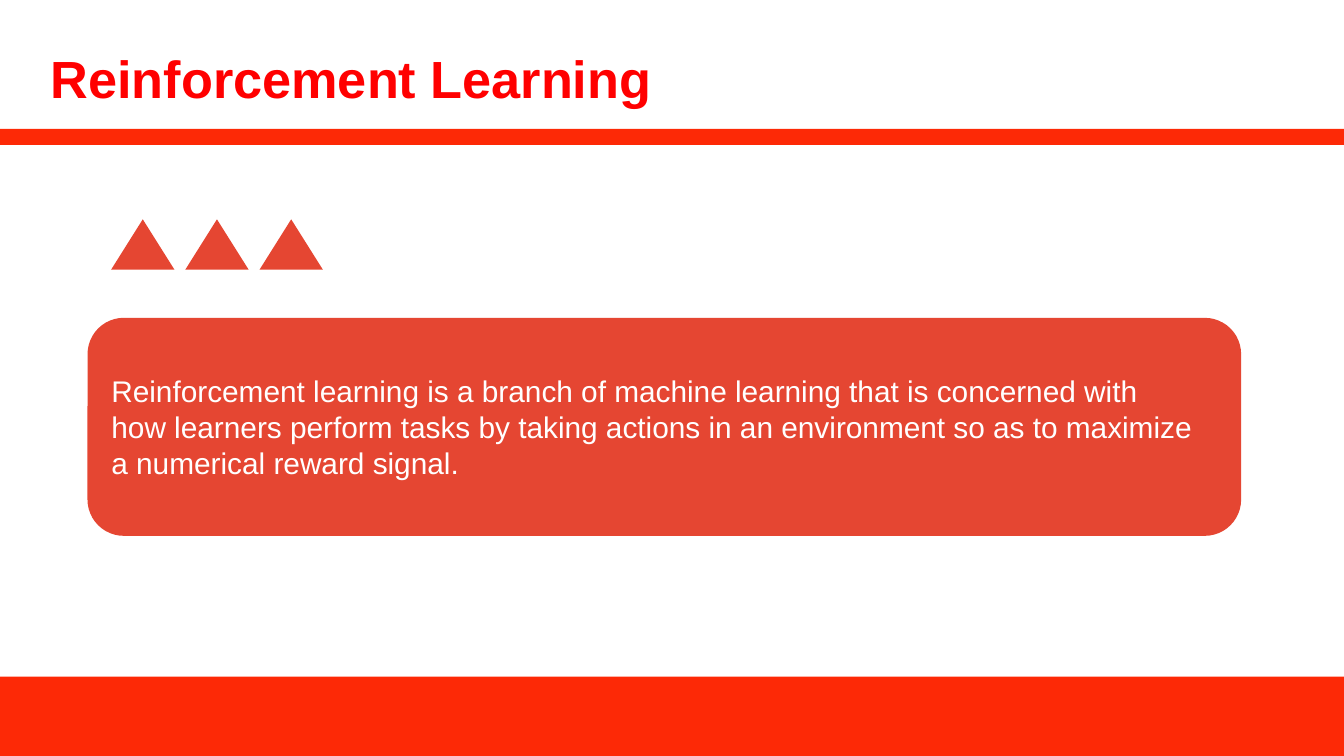
from pptx import Presentation
from pptx.dml.color import RGBColor
from pptx.enum.shapes import MSO_SHAPE as Shape
from pptx.enum.text import MSO_ANCHOR as Anchor, PP_ALIGN as Align
from pptx.util import Pt

WIDTH, HEIGHT = 720, 405
FOOTER_TOP = 362.5
BAND_RED = "FD2906"
TITLE_RED = "FF0000"
SOFT_RED = "E54632"
WHITE = "FFFFFF"


def color(value):
    return RGBColor.from_string(value)


class SlideBuilder:
    """Holds the text style and the slide being filled."""

    font = "Arial"
    title_size = 28
    body_size = 16

    def __init__(self, page):
        self.page = page

    def add_span(self, para, text, size, fill, bold=False):
        span = para.add_run()
        span.text = text
        span.font.name = self.font
        span.font.size = Pt(size)
        span.font.bold = bold
        span.font.color.rgb = color(fill)

    def add_title(self, text, left, top, width, height):
        title = self.page.shapes.title
        title.left, title.top = Pt(left), Pt(top)
        title.width, title.height = Pt(width), Pt(height)
        title.text_frame.vertical_anchor = Anchor.MIDDLE
        para = title.text_frame.paragraphs[0]
        para.alignment = Align.LEFT
        self.add_span(para, text, self.title_size, TITLE_RED, bold=True)

    def add_shape(self, kind, left, top, width, height, fill):
        shape = self.page.shapes.add_shape(
            kind, Pt(left), Pt(top), Pt(width), Pt(height))
        shape.shadow.inherit = False
        shape.fill.solid()
        shape.fill.fore_color.rgb = color(fill)
        shape.line.fill.background()
        return shape

    def add_card(self, lines, left, top, width, height):
        card = self.add_shape(
            Shape.ROUNDED_RECTANGLE, left, top, width, height, SOFT_RED)
        frame = card.text_frame
        frame.word_wrap = True
        frame.vertical_anchor = Anchor.MIDDLE
        for index, line in enumerate(lines):
            para = frame.add_paragraph() if index else frame.paragraphs[0]
            para.alignment = Align.LEFT
            self.add_span(para, line, self.body_size, WHITE)

    def add_triangles(self, count, left, top, width, height, pitch):
        for index in range(count):
            self.add_shape(Shape.ISOSCELES_TRIANGLE, left + index * pitch,
                           top, width, height, SOFT_RED)


def main():
    deck = Presentation()
    deck.slide_width, deck.slide_height = Pt(WIDTH), Pt(HEIGHT)
    title_only = deck.slide_layouts[5]
    builder = SlideBuilder(deck.slides.add_slide(title_only))

    builder.add_shape(Shape.RECTANGLE, 0, FOOTER_TOP, WIDTH,
                      HEIGHT - FOOTER_TOP, BAND_RED)
    builder.add_shape(Shape.RECTANGLE, 0, 69.1, WIDTH, 8.6, BAND_RED)
    builder.add_title("Reinforcement Learning", 20, 0, WIDTH - 20, 83.5)
    builder.add_card(
        ["Reinforcement learning is a branch of machine learning that is "
         "concerned with",
         "how learners perform tasks by taking actions in an environment so as "
         "to maximize a numerical reward signal."],
        46.9, 170.3, 618, 116.8)
    builder.add_triangles(3, 59.5, 117.5, 34, 27, pitch=39.75)

    deck.save("out.pptx")


if __name__ == "__main__":
    main()
